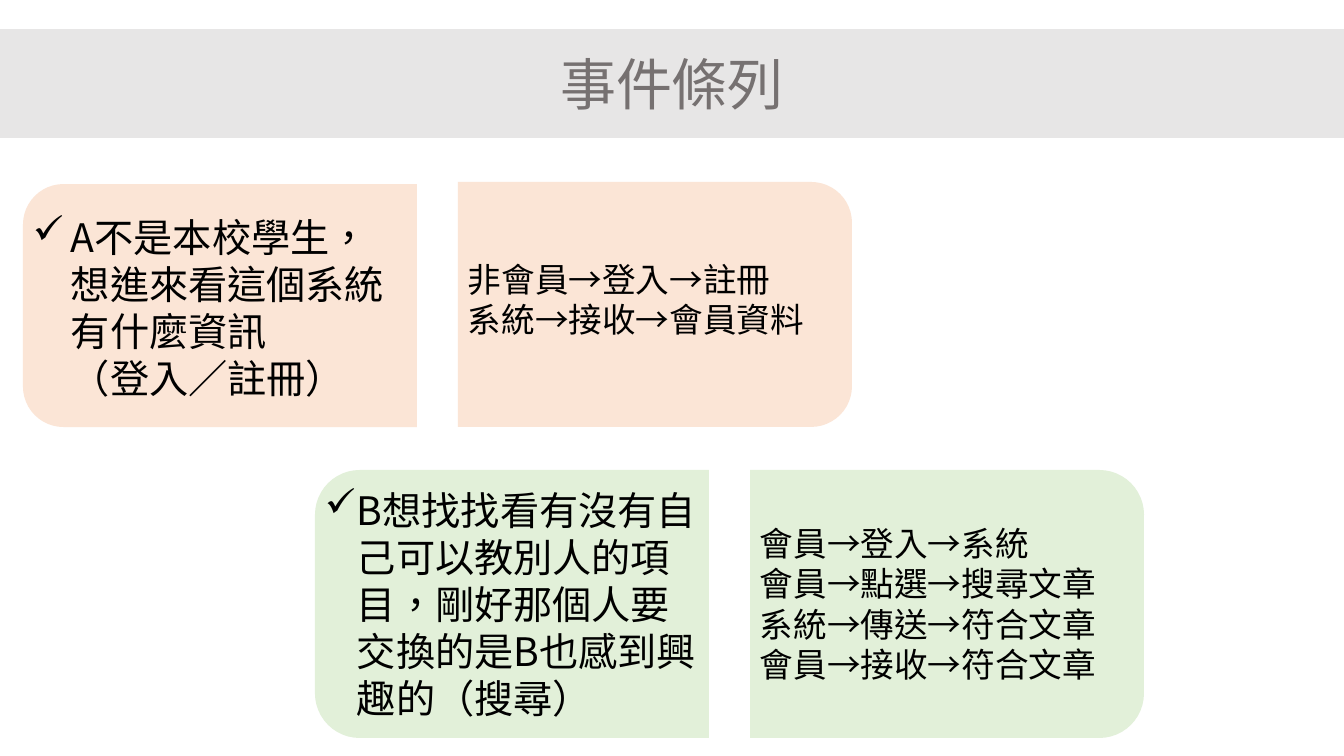
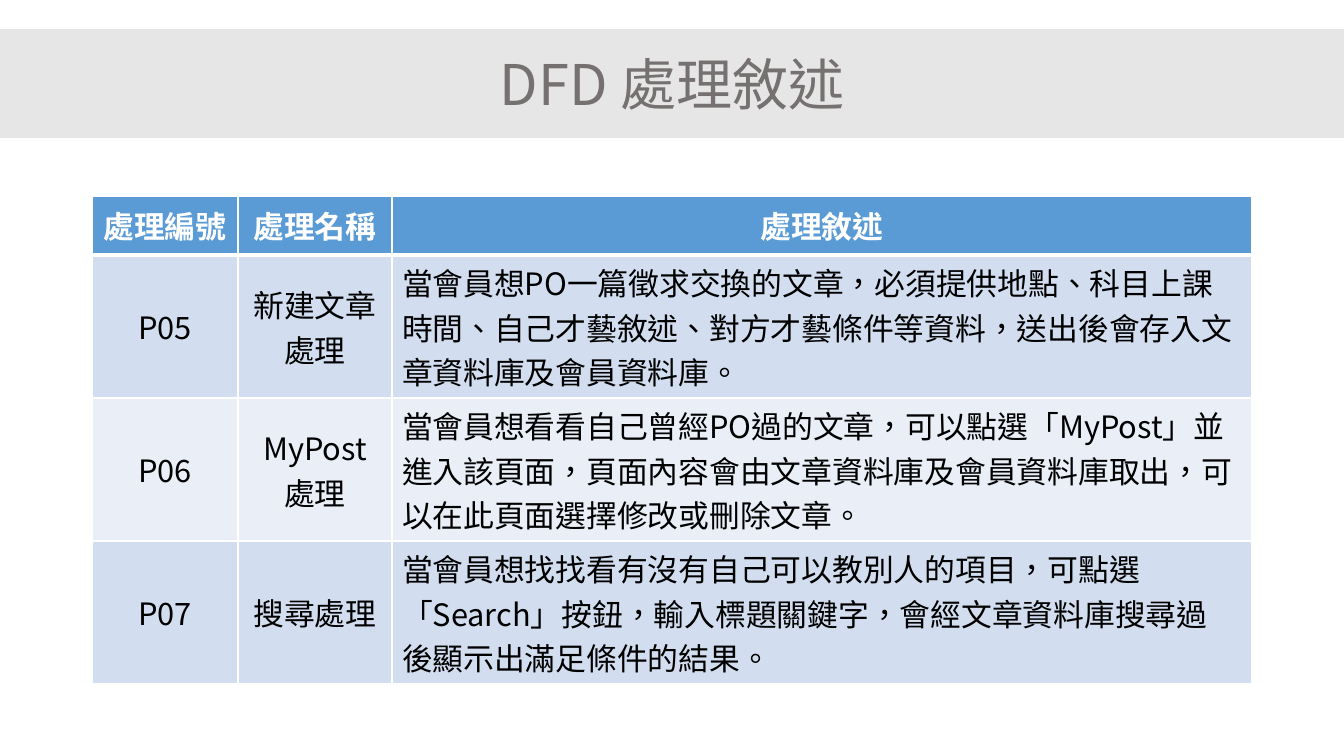
import pptx
import pptx.util
import pptx.dml.color
import pptx.enum.shapes
import pptx.enum.text
from lxml import etree

RGBColor = pptx.dml.color.RGBColor
ALIGN = pptx.enum.text.PP_ALIGN
MIDDLE = pptx.enum.text.MSO_ANCHOR.MIDDLE
SHAPE = pptx.enum.shapes.MSO_SHAPE
A = "{http://schemas.openxmlformats.org/drawingml/2006/main}"

BLACK = RGBColor(0x00, 0x00, 0x00)
WHITE = RGBColor(0xFF, 0xFF, 0xFF)
BAND_GREY = RGBColor(0xE7, 0xE6, 0xE6)
TITLE_GREY = RGBColor(0x76, 0x71, 0x71)
PEACH = RGBColor(0xFB, 0xE5, 0xD6)
MINT = RGBColor(0xE2, 0xF0, 0xD9)
HEADER_BLUE = RGBColor(0x5B, 0x9B, 0xD5)
ROW_BLUES = (RGBColor(0xD2, 0xDE, 0xEF), RGBColor(0xEA, 0xEF, 0xF7))
CJK_FONT = "Noto Sans CJK SC"
LATIN_FONT = "Calibri"

EMU_PER_PX = 914400 / 100.8
SLIDE_W, SLIDE_H = 1344, 756
BAND_TOP, BAND_H = 29, 109
CARD_W, CARD_GAP = 394, 41
LINE_FACTOR = 1.2

EVENT_TITLE = "事件條列"
# Each card: top, height, text top, text height.
EVENTS = [
    {
        "left": 23, "color": PEACH, "indent": 38,
        "story_box": (184, 243, 208, 200),
        "story": ["A不是本校學生，想進來看這個系統有什麼資訊", "（登入／註冊）"],
        "flow_box": (182, 245, 254, 92),
        "flow": ["非會員→登入→註冊", "系統→接收→會員資料"],
        "flow_font": CJK_FONT,
    },
    {
        "left": 315, "color": MINT, "indent": 32,
        "story_box": (470, 268, 481, 248),
        "story": ["B想找找看有沒有自 己可以教別人的項目，剛好那個人要交換的是B也感到興趣的（搜尋）"],
        "flow_box": (470, 268, 518, 173),
        "flow": ["會員→登入→系統", "會員→點選→搜尋文章",
                 "系統→傳送→符合文章", "會員→接收→符合文章"],
        "flow_font": LATIN_FONT,
    },
]

PROCESS_TITLE = "DFD 處理敘述"
TABLE_LEFT, TABLE_TOP = 92, 196
COLUMN_WIDTHS = (146, 154, 860)
HEADER_H, ROW_H = 59, 143
PROCESSES = [
    ("處理編號", "處理名稱", "處理敘述"),
    ("P05", "新建文章處理",
     "當會員想PO一篇徵求交換的文章，必須提供地點、科目上課時間、自己才藝敘述、對方才藝條件等資料，送出後會存入文章資料庫及會員資料庫。"),
    ("P06", "MyPost處理",
     "當會員想看看自己曾經PO過的文章，可以點選「MyPost」並 進入該頁面，頁面內容會由文章資料庫及會員資料庫取出，可以在此頁面選擇修改或刪除文章。"),
    ("P07", "搜尋處理",
     "當會員想找找看有沒有自己可以教別人的項目，可點選「Search」按鈕，輸入標題關鍵字，會經文章資料庫搜尋過 後顯示出滿足條件的結果。"),
]


def px(length):
    return pptx.util.Emu(round(length * EMU_PER_PX))


def style_runs(paragraph, size, color, bold=False, latin=CJK_FONT):
    for run in paragraph.runs:
        run.font.size = pptx.util.Pt(size)
        run.font.bold = bold
        run.font.color.rgb = color
        run.font.name = latin
        properties = run._r.get_or_add_rPr()
        properties.set("lang", "zh-TW")
        etree.SubElement(properties, A + "ea", typeface=CJK_FONT)


def add_filled(slide, kind, left, top, width, height, color):
    shape = slide.shapes.add_shape(kind, px(left), px(top), px(width), px(height))
    shape.shadow.inherit = False
    shape.fill.solid()
    shape.fill.fore_color.rgb = color
    shape.line.fill.background()
    return shape


def add_titled_slide(deck, title):
    slide = deck.slides.add_slide(deck.slide_layouts[6])
    band = add_filled(slide, SHAPE.RECTANGLE, 0, BAND_TOP, SLIDE_W, BAND_H, BAND_GREY)
    frame = band.text_frame
    frame.text = title
    frame.vertical_anchor = MIDDLE
    frame.paragraphs[0].alignment = ALIGN.CENTER
    style_runs(frame.paragraphs[0], 40, TITLE_GREY)
    return slide


def add_card(slide, left, top, height, color, rotation):
    """Add a card whose rounded side is turned to the left (270) or right (90)."""
    shift = (CARD_W - height) / 2
    card = add_filled(slide, SHAPE.ROUND_2_SAME_RECTANGLE,
                      left + shift, top - shift, height, CARD_W, color)
    card.rotation = rotation


def add_lines(slide, left, top, height, lines, size, latin=CJK_FONT, indent=0):
    """Add a text box; with an indent, the first line gets a check mark."""
    box = slide.shapes.add_textbox(px(left), px(top), px(CARD_W), px(height))
    frame = box.text_frame
    frame.word_wrap = True
    frame.text = "\n".join(lines)
    for number, paragraph in enumerate(frame.paragraphs):
        paragraph.line_spacing = pptx.util.Pt(size * LINE_FACTOR)
        if indent:
            properties = paragraph._p.get_or_add_pPr()
            properties.set("marL", str(px(indent)))
            properties.set("indent", str(0 if number else -px(indent)))
            if number == 0:
                etree.SubElement(properties, A + "buChar", char="✓")
        style_runs(paragraph, size, BLACK, latin=latin)


def add_event(slide, event):
    story_left = event["left"]
    flow_left = story_left + CARD_W + CARD_GAP
    top, height, text_top, text_height = event["story_box"]
    add_card(slide, story_left, top, height, event["color"], 270)
    add_lines(slide, story_left, text_top, text_height, event["story"], 28,
              indent=event["indent"])
    top, height, text_top, text_height = event["flow_box"]
    add_card(slide, flow_left, top, height, event["color"], 90)
    add_lines(slide, flow_left, text_top, text_height, event["flow"], 24,
              latin=event["flow_font"])


def set_borders(cell, top_pt, bottom_pt):
    properties = cell._tc.get_or_add_tcPr()
    for side, width in (("L", 1), ("R", 1), ("T", top_pt), ("B", bottom_pt)):
        line = etree.SubElement(properties, A + "ln" + side,
                                w=str(pptx.util.Pt(width)))
        fill = etree.SubElement(line, A + "solidFill")
        etree.SubElement(fill, A + "srgbClr", val=str(WHITE))


def add_process_table(slide):
    heights = [HEADER_H] + [ROW_H] * (len(PROCESSES) - 1)
    table = slide.shapes.add_table(
        len(PROCESSES), len(COLUMN_WIDTHS), px(TABLE_LEFT), px(TABLE_TOP),
        px(sum(COLUMN_WIDTHS)), px(sum(heights))).table
    for column, width in zip(table.columns, COLUMN_WIDTHS):
        column.width = px(width)
    for r, (process, height) in enumerate(zip(PROCESSES, heights)):
        table.rows[r].height = px(height)
        header = r == 0
        for c, words in enumerate(process):
            cell = table.cell(r, c)
            cell.text = words
            set_borders(cell, 3 if r == 1 else 1, 3 if header else 1)
            cell.fill.solid()
            cell.fill.fore_color.rgb = HEADER_BLUE if header else ROW_BLUES[(r - 1) % 2]
            cell.vertical_anchor = MIDDLE
            paragraph = cell.text_frame.paragraphs[0]
            paragraph.alignment = ALIGN.CENTER if header or c < 2 else ALIGN.LEFT
            style_runs(paragraph, 22, WHITE if header else BLACK, bold=header)


def main():
    deck = pptx.Presentation()
    deck.slide_width, deck.slide_height = px(SLIDE_W), px(SLIDE_H)
    event_slide = add_titled_slide(deck, EVENT_TITLE)
    for event in EVENTS:
        add_event(event_slide, event)
    add_process_table(add_titled_slide(deck, PROCESS_TITLE))
    deck.save("out.pptx")


if __name__ == "__main__":
    main()
